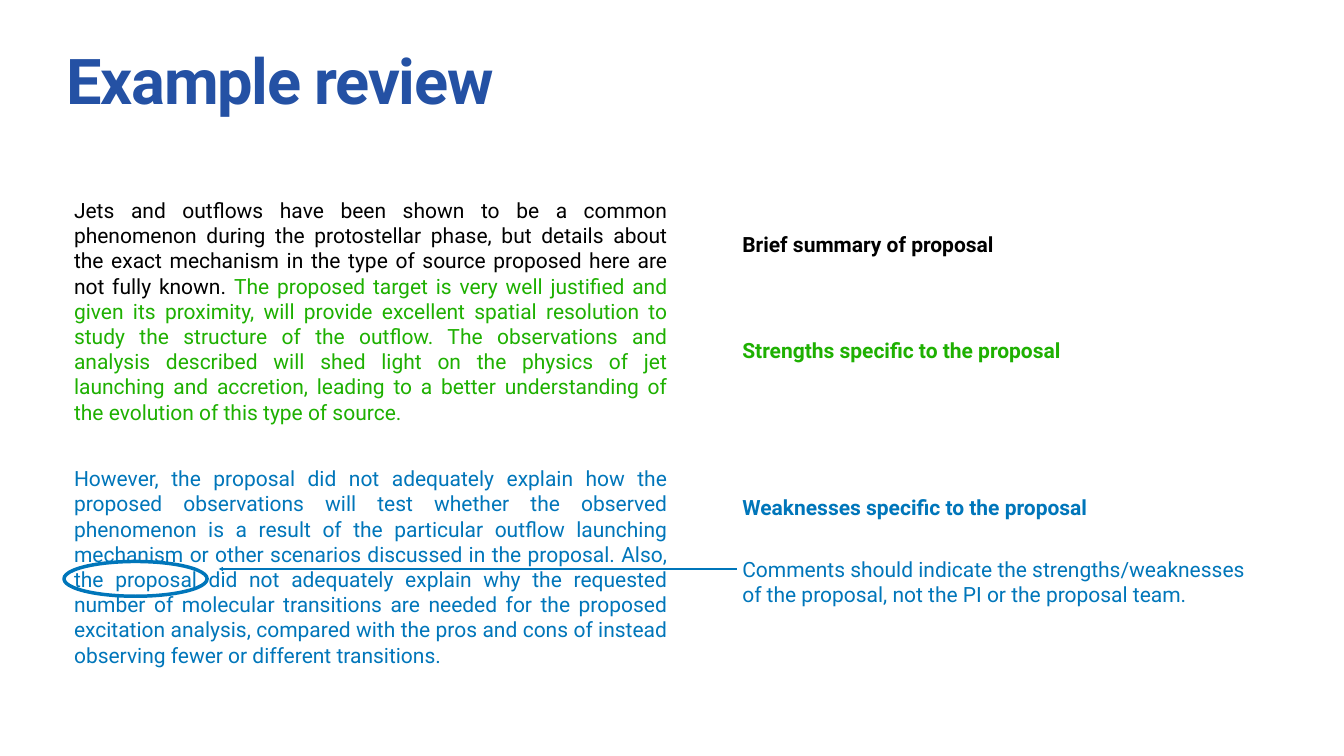
from dataclasses import dataclass
from typing import Any

from lxml import etree
from pptx import Presentation
from pptx.dml.color import RGBColor
from pptx.enum.shapes import MSO_CONNECTOR, MSO_SHAPE
from pptx.enum.text import MSO_ANCHOR, MSO_AUTO_SIZE, PP_ALIGN
from pptx.oxml.ns import qn
from pptx.util import Emu, Pt

STRAIGHT = MSO_CONNECTOR.STRAIGHT
ELLIPSE = MSO_SHAPE.OVAL
TOP, MIDDLE = MSO_ANCHOR.TOP, MSO_ANCHOR.MIDDLE
LEFT, JUSTIFY = PP_ALIGN.LEFT, PP_ALIGN.JUSTIFY
FIXED, GROW = MSO_AUTO_SIZE.NONE, MSO_AUTO_SIZE.SHAPE_TO_FIT_TEXT

EMU_PER_PX = 9144  # 100 px to the inch


@dataclass(frozen=True)
class Theme:
    font: str = "Roboto"
    title_size: float = 90.2
    body_size: float = 30
    title: str = "2451A4"
    summary: str = "000000"
    strength: str = "1EB001"
    weakness: str = "0076BA"
    padding: int = 6
    paragraph_gap: int = 59
    ring_width: float = 5
    arrow_width: float = 2


THEME = Theme()


@dataclass(frozen=True)
class Run:
    text: str
    color: str
    bold: bool = False
    size: float = THEME.body_size
    tracking: float = 0


@dataclass(frozen=True)
class TextBlock:
    box: tuple[int, int, int, int]
    paragraphs: list[list[Run]]
    anchor: Any = MIDDLE
    align: Any = LEFT
    auto_size: Any = GROW
    wrap: bool = True
    line_spacing: float = 1.0


def px(length: int) -> Emu:
    return Emu(length * EMU_PER_PX)


def apply(target: Any, values: dict[str, Any]) -> None:
    for name, value in values.items():
        setattr(target, name, value)


def add_text(slide: Any, block: TextBlock) -> None:
    frame = slide.shapes.add_textbox(*map(px, block.box)).text_frame
    padding = px(THEME.padding)
    apply(frame, {
        "word_wrap": block.wrap, "auto_size": block.auto_size,
        "vertical_anchor": block.anchor,
        "margin_left": padding, "margin_right": padding,
        "margin_top": padding, "margin_bottom": padding,
    })
    for index, runs in enumerate(block.paragraphs):
        paragraph = frame.add_paragraph() if index else frame.paragraphs[0]
        apply(paragraph, {
            "alignment": block.align, "line_spacing": block.line_spacing,
            "space_before": Pt(THEME.paragraph_gap if index else 0),
        })
        for item in runs:
            run = paragraph.add_run()
            run.text = item.text
            apply(run.font, {"name": THEME.font, "size": Pt(item.size), "bold": item.bold})
            run.font.color.rgb = RGBColor.from_string(item.color)
            if item.tracking:
                run.font._element.set("spc", str(round(item.tracking * 100)))


def style_line(shape: Any, width: float) -> None:
    shape.line.color.rgb = RGBColor.from_string(THEME.weakness)
    shape.line.width = Pt(width)


def add_ring(slide: Any, box: tuple[int, int, int, int]) -> None:
    ring = slide.shapes.add_shape(ELLIPSE, *map(px, box))
    ring.shadow.inherit = False
    ring.fill.background()
    style_line(ring, THEME.ring_width)


def add_arrow(slide: Any, start: tuple[int, int], end: tuple[int, int]) -> None:
    arrow = slide.shapes.add_connector(STRAIGHT, *map(px, start + end))
    style_line(arrow, THEME.arrow_width)
    etree.SubElement(arrow.line._get_or_add_ln(), qn("a:tailEnd"), type="triangle")
    etree.SubElement(arrow._element.spPr, qn("a:effectLst"))


TITLE = TextBlock(
    (126, 106, 1854, 163),
    [[Run("Example review", THEME.title, True, THEME.title_size, -1.8)]],
    anchor=TOP, auto_size=FIXED, line_spacing=0.8,
)

REVIEW = TextBlock(
    (141, 386, 1190, 1017),
    [
        [
            Run("Jets and outflows have been shown to be a common phenomenon during the "
                "protostellar phase, but details about the exact mechanism in the type of "
                "source proposed here are not fully known. ", THEME.summary),
            Run("The proposed target is very well justified and given its proximity, will "
                "provide excellent spatial resolution to study the structure of the outflow. "
                "The observations and analysis described will shed light on the physics of "
                "jet launching and accretion, leading to a better understanding of the "
                "evolution of this type of source.", THEME.strength),
        ],
        [
            Run("However, the proposal did not adequately explain how the proposed "
                "observations will test whether the observed phenomenon is a result of the "
                "particular outflow launching mechanism or other scenarios discussed in the "
                "proposal. Also, the proposal did not adequately explain why the requested "
                "number of molecular transitions are needed for the proposed excitation "
                "analysis, compared with the pros and cons of instead observing fewer or "
                "different transitions.", THEME.weakness),
        ],
    ],
    anchor=TOP, align=JUSTIFY, auto_size=FIXED,
)

# Labels beside the review: top, width, text, colour
NOTE_LEFT = 1467
LABELS = [
    (454, 539, "Brief summary of proposal", THEME.summary),
    (664, 685, "Strengths specific to the proposal", THEME.strength),
    (975, 741, "Weaknesses specific to the proposal", THEME.weakness),
]

ADVICE = TextBlock(
    (NOTE_LEFT, 1099, 1028, 110),
    [[Run("Comments should indicate the strengths/weaknesses of the proposal, "
          "not the PI or the proposal team.", THEME.weakness)]],
)


def main() -> None:
    presentation = Presentation()
    apply(presentation, {"slide_width": px(2667), "slide_height": px(1500)})
    slide = presentation.slides.add_slide(presentation.slide_layouts[6])

    # Title and review text
    add_text(slide, TITLE)
    add_text(slide, REVIEW)

    # Labels for each part of the review
    for top, width, text, color in LABELS:
        add_text(slide, TextBlock((NOTE_LEFT, top, width, 61),
                                  [[Run(text, color, bold=True)]], wrap=False))

    # Advice pointing at the ringed words
    add_ring(slide, (127, 1114, 284, 69))
    add_arrow(slide, (1462, 1129), (434, 1129))
    add_text(slide, ADVICE)

    presentation.save("out.pptx")


if __name__ == "__main__":
    main()
